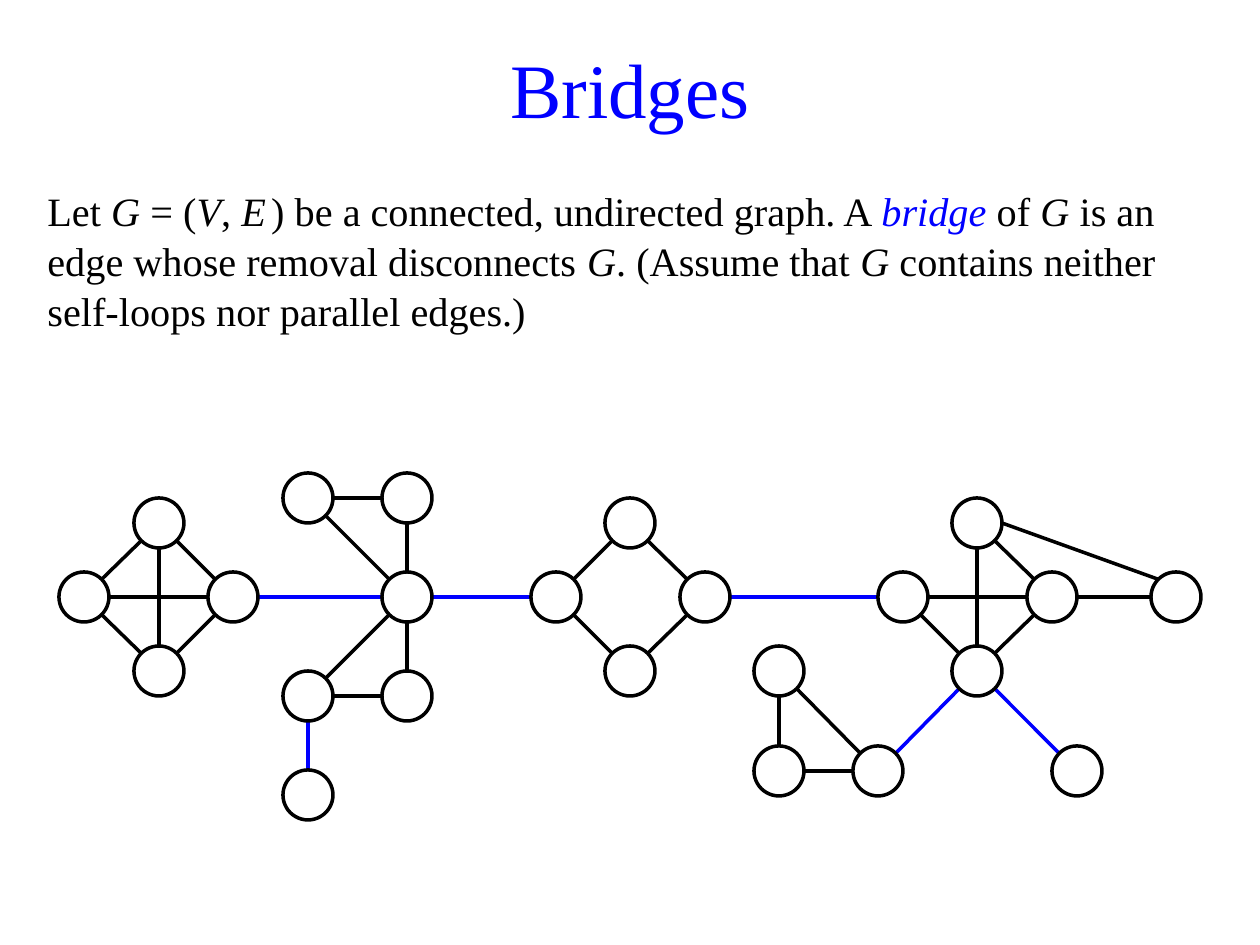
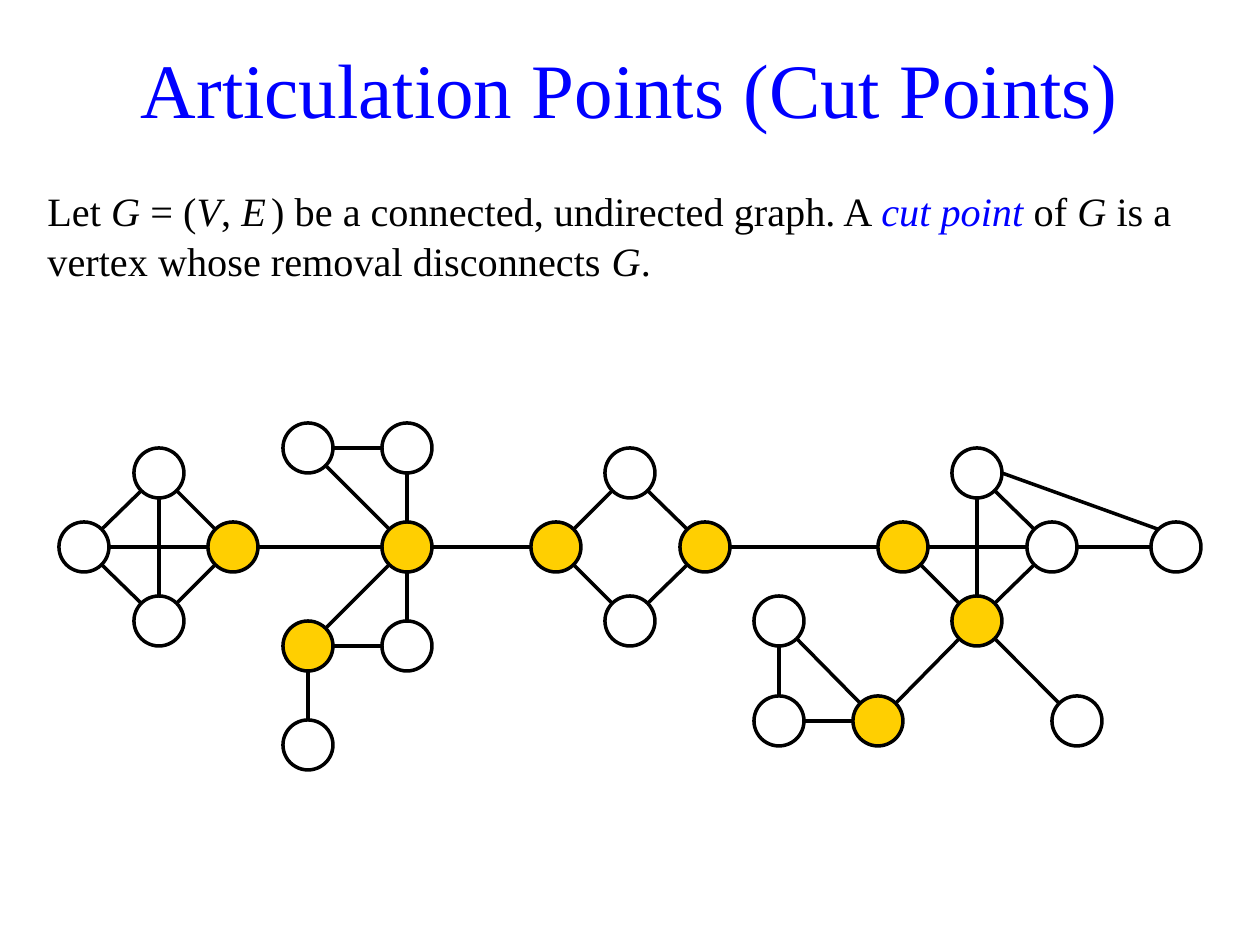
from math import atan2, cos, pi, sin
from typing import Any, NamedTuple

from lxml.etree import SubElement
from pptx import Presentation
from pptx.dml.color import RGBColor
from pptx.enum.shapes import MSO_CONNECTOR, MSO_SHAPE
from pptx.enum.text import MSO_ANCHOR, PP_ALIGN
from pptx.oxml.ns import qn
from pptx.util import Emu, Pt

PX = 914400 / 126
DIAMETER = 50
COLOURS = {"ink": "000000", "accent": "0000FF", "paper": "FFFFFF", "cut": "FFCF01"}
FONT = "Times New Roman"


class Box(NamedTuple):
    left: int
    top: int
    width: int
    height: int


class Style(NamedTuple):
    size: int = 23
    colour: str = "ink"
    italic: bool = False
    tracking: int = 0


class Node(NamedTuple):
    x: int
    drop: int


class Edge(NamedTuple):
    start: str
    end: str
    bridge: bool = False
    arrival: float | None = None


class Span(NamedTuple):
    text: str
    style: Style


class GraphSlide(NamedTuple):
    title: str
    term: str
    ending: list[Span]
    axis: int
    show_bridges: bool
    cut_points: frozenset[str]


PLAIN = Style()
MATH = Style(italic=True)
SPACED = Style(italic=True, tracking=300)
TERM = Style(colour="accent", italic=True)
HEADING = Style(size=44, colour="accent")

TITLE_BOX = Box(59, 26, 1142, 124)
BODY_BOX = Box(35, 178, 1191, 174)

NODES = {
    "kite west": Node(84, 0),
    "kite north": Node(159, -74),
    "kite south": Node(159, 74),
    "kite east": Node(233, 0),
    "fan hub": Node(407, 0),
    "fan north": Node(407, -99),
    "fan northwest": Node(308, -99),
    "fan south": Node(407, 99),
    "fan southwest": Node(308, 99),
    "fan leaf": Node(308, 198),
    "ring west": Node(556, 0),
    "ring north": Node(630, -74),
    "ring south": Node(630, 74),
    "ring east": Node(705, 0),
    "triangle top": Node(779, 74),
    "triangle left": Node(779, 174),
    "triangle right": Node(878, 174),
    "block west": Node(903, 0),
    "block north": Node(977, -74),
    "block south": Node(977, 74),
    "block east": Node(1052, 0),
    "block tip": Node(1176, 0),
    "block leaf": Node(1077, 174),
}

EDGES = [
    Edge("kite west", "kite north"),
    Edge("kite north", "kite east"),
    Edge("kite west", "kite south"),
    Edge("kite south", "kite east"),
    Edge("kite west", "kite east"),
    Edge("kite north", "kite south"),
    Edge("kite east", "fan hub", bridge=True),
    Edge("fan northwest", "fan north"),
    Edge("fan north", "fan hub"),
    Edge("fan northwest", "fan hub"),
    Edge("fan south", "fan hub"),
    Edge("fan southwest", "fan south"),
    Edge("fan southwest", "fan hub"),
    Edge("fan leaf", "fan southwest", bridge=True),
    Edge("fan hub", "ring west", bridge=True),
    Edge("ring west", "ring north"),
    Edge("ring north", "ring east"),
    Edge("ring west", "ring south"),
    Edge("ring south", "ring east"),
    Edge("ring east", "block west", bridge=True),
    Edge("block north", "block east"),
    Edge("block west", "block south"),
    Edge("block south", "block east"),
    Edge("block north", "block south"),
    Edge("block west", "block east"),
    Edge("block east", "block tip"),
    Edge("block north", "block tip", arrival=-3 * pi / 4),
    Edge("triangle right", "block south", bridge=True),
    Edge("block south", "block leaf", bridge=True),
    Edge("triangle left", "triangle top"),
    Edge("triangle left", "triangle right"),
    Edge("triangle top", "triangle right"),
]

SLIDES = [
    GraphSlide(
        "Bridges",
        "bridge",
        [
            Span(" is an edge whose removal disconnects ", PLAIN),
            Span("G", MATH),
            Span(". (Assume that ", PLAIN),
            Span("G", MATH),
            Span(" contains neither self-loops nor parallel edges.)", PLAIN),
        ],
        597,
        True,
        frozenset(),
    ),
    GraphSlide(
        "Articulation Points (Cut Points)",
        "cut point",
        [
            Span(" is a vertex whose removal disconnects ", PLAIN),
            Span("G", MATH),
            Span(".", PLAIN),
        ],
        547,
        False,
        frozenset({
            "kite east", "fan hub", "fan southwest", "ring west",
            "ring east", "block west", "block south", "triangle right",
        }),
    ),
]


def emu(pixels: float) -> Emu:
    return Emu(round(pixels * PX))


def colour(name: str) -> RGBColor:
    return RGBColor.from_string(COLOURS[name])


def apply(target: Any, values: dict[str, Any]) -> None:
    for name, value in values.items():
        setattr(target, name, value)


def add_text(page: Any, box: Box, spans: list[Span], frame_format: dict[str, Any],
             para_format: dict[str, Any]) -> None:
    frame = page.shapes.add_textbox(*map(emu, box)).text_frame
    apply(frame, {"word_wrap": True, **frame_format})
    para = frame.paragraphs[0]
    apply(para, para_format)
    for text, style in spans:
        span = para.add_run()
        span.text = text
        apply(span.font, {"name": FONT, "size": Pt(style.size), "italic": style.italic})
        span.font.color.rgb = colour(style.colour)
        if style.tracking:
            span._r.get_or_add_rPr().set("spc", str(style.tracking))


def definition(slide: GraphSlide) -> list[Span]:
    return [
        Span("Let ", PLAIN),
        Span("G ", MATH),
        Span("= (", PLAIN),
        Span("V", MATH),
        Span(", ", PLAIN),
        Span("E", SPACED),
        Span(") be a connected, undirected graph. A ", PLAIN),
        Span(slide.term, TERM),
        Span(" of ", PLAIN),
        Span("G", MATH),
        *slide.ending,
    ]


def rim_point(node: Node, angle: float, axis: int) -> tuple[Emu, Emu]:
    radius = DIAMETER / 2
    return emu(node.x + radius * cos(angle)), emu(axis + node.drop + radius * sin(angle))


def draw_edge(page: Any, edge: Edge, slide: GraphSlide) -> None:
    start, end = NODES[edge.start], NODES[edge.end]
    angle = round(atan2(end.drop - start.drop, end.x - start.x) / (pi / 4)) * pi / 4
    arrival = angle + pi if edge.arrival is None else edge.arrival
    line = page.shapes.add_connector(
        MSO_CONNECTOR.STRAIGHT,
        *rim_point(start, angle, slide.axis),
        *rim_point(end, arrival, slide.axis),
    )
    line.line.width = Pt(2)
    line.line.color.rgb = colour("accent" if edge.bridge and slide.show_bridges else "ink")
    SubElement(line._element.spPr, qn("a:effectLst"))


def draw_node(page: Any, name: str, slide: GraphSlide) -> None:
    node = NODES[name]
    corner = emu(node.x - DIAMETER / 2), emu(slide.axis + node.drop - DIAMETER / 2)
    circle = page.shapes.add_shape(MSO_SHAPE.OVAL, *corner, emu(DIAMETER), emu(DIAMETER))
    circle.shadow.inherit = False
    circle.fill.solid()
    circle.fill.fore_color.rgb = colour("cut" if name in slide.cut_points else "paper")
    circle.line.color.rgb = colour("ink")
    circle.line.width = Pt(2)


def draw_slide(deck: Any, slide: GraphSlide) -> None:
    page = deck.slides.add_slide(deck.slide_layouts[6])
    add_text(page, TITLE_BOX, [Span(slide.title, HEADING)],
             {"vertical_anchor": MSO_ANCHOR.MIDDLE}, {"alignment": PP_ALIGN.CENTER})
    add_text(page, BODY_BOX, definition(slide),
             {"vertical_anchor": MSO_ANCHOR.TOP}, {"line_spacing": 1.04})
    for edge in EDGES:
        draw_edge(page, edge, slide)
    for name in NODES:
        draw_node(page, name, slide)


def main() -> None:
    deck = Presentation()
    apply(deck, {"slide_width": emu(1260), "slide_height": emu(945)})
    for slide in SLIDES:
        draw_slide(deck, slide)
    deck.save("out.pptx")


if __name__ == "__main__":
    main()
